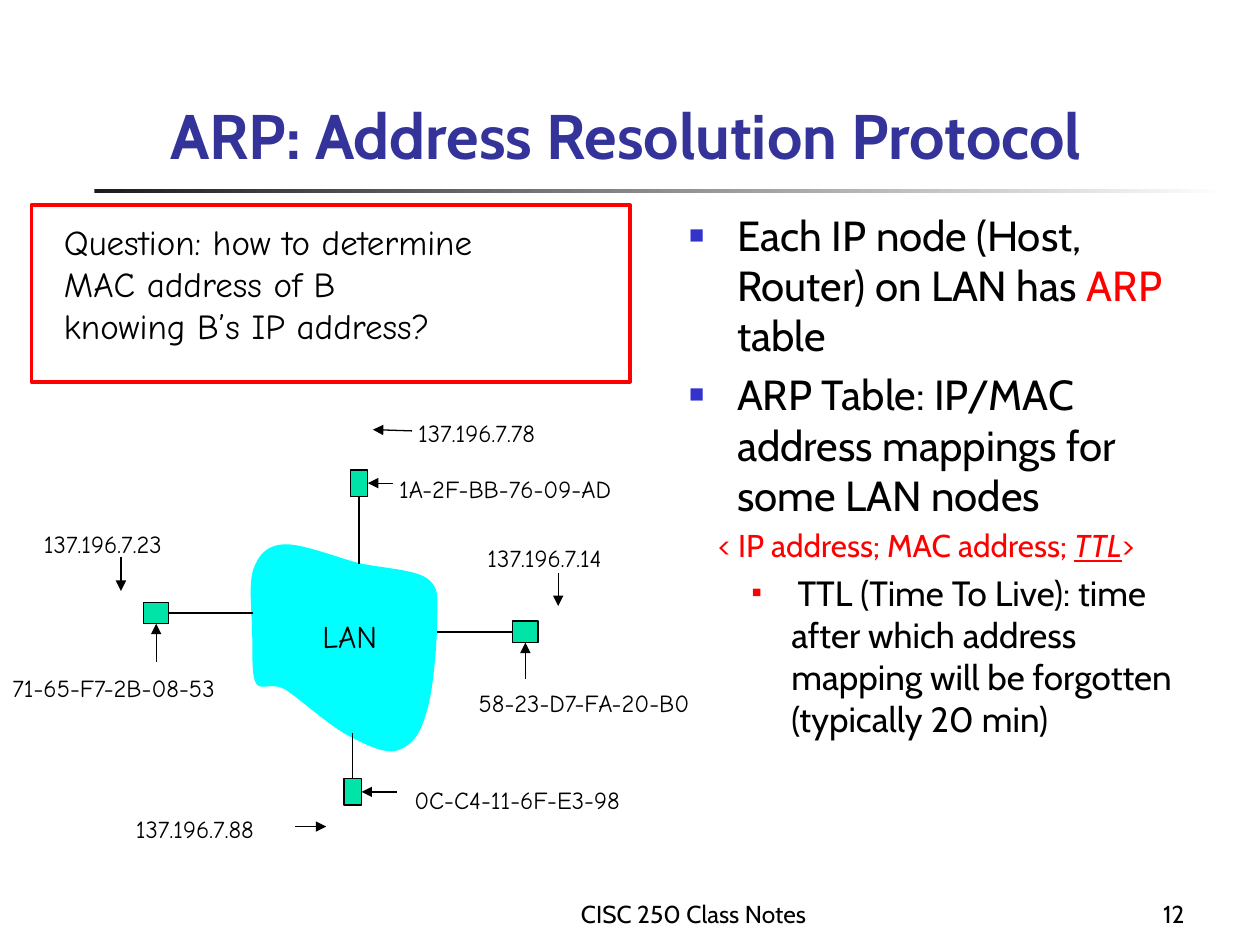
"""Build the slide that explains the Address Resolution Protocol."""
from lxml import etree
from pptx import Presentation
from pptx.dml.color import RGBColor
from pptx.enum.shapes import MSO_CONNECTOR, MSO_SHAPE
from pptx.enum.text import MSO_ANCHOR, MSO_AUTO_SIZE, PP_ALIGN
from pptx.oxml.ns import qn
from pptx.util import Inches, Pt

STRAIGHT = MSO_CONNECTOR.STRAIGHT
RECTANGLE = MSO_SHAPE.RECTANGLE
LEFT, CENTER, RIGHT = PP_ALIGN.LEFT, PP_ALIGN.CENTER, PP_ALIGN.RIGHT
TOP, BOTTOM = MSO_ANCHOR.TOP, MSO_ANCHOR.BOTTOM
NO_AUTOFIT = MSO_AUTO_SIZE.NONE

WIDTH, HEIGHT = Inches(10), Inches(7.5)
CELL = WIDTH / 100
CURVE_STEPS = 10
SANS, HAND = "Cabin", "Comic Neue"
BLACK, RED, INDIGO, BLUE = "000000", "FF0000", "333399", "3333CC"
CYAN, GREEN, CHARCOAL, WHITE = "00FFFF", "00E4A8", "1C1C1C", "FFFFFF"

TITLE = "ARP: Address Resolution Protocol"
TITLE_BOX = (12.5, 4.3, 82.6, 9.9)
RULE_BOX = (7.5, 15, 90, 0.3)
BODY_BOX = (53.7, 16.1, 43.6, 50.8)
QUESTION_FRAME = (2.5, 16.3, 47.5, 14)

# level, left margin, first-line indent, bullet (colour, size %), runs (text, size, colour, emphasis)
BODY = [
    (0, 3.8, -3.8, (BLUE, 60), [
        ("Each IP node (Host, Router) on LAN has ", 24, BLACK, False),
        ("ARP ", 24, RED, False),
        ("table", 24, BLACK, False)]),
    (0, 3.8, -3.8, (BLUE, 60), [
        ("ARP Table: IP/MAC address mappings for some LAN nodes", 24, BLACK, False)]),
    (0, 3.8, -1.5, None, [
        ("< IP address; MAC address; ", 18, RED, False),
        ("TTL", 18, RED, True),
        (">", 18, RED, False)]),
    (1, 8.1, -3.1, (RED, 55), [
        (" ", 16, BLACK, False),
        ("TTL (Time To Live): time after which address mapping will be "
         "forgotten (typically 20 min)", 20, BLACK, False)]),
]

FOOTERS = [
    ("CISC 250 Class Notes", (34.2, 69.2, 41.7, 5), CENTER),
    ("12", (85.8, 69.2, 9.2, 5), RIGHT),
]

LABELS = [
    ("Question: how to determine\nMAC address of B\nknowing B’s IP address?",
     (4.1, 17, 38, 11), 20),
    ("LAN", (24.6, 48.5, 6.8, 4), 18),
    ("1A-2F-BB-76-09-AD", (30.7, 37.1, 20.8, 3.3), 14),
    ("58-23-D7-FA-20-B0", (37, 54.1, 20.8, 3.3), 14),
    ("0C-C4-11-6F-E3-98", (31.9, 61.8, 19.6, 3.3), 14),
    ("71-65-F7-2B-08-53", (0, 52.9, 20, 3.3), 14),
    ("137.196.7.23", (2.5, 41.5, 13.5, 3.3), 14),
    ("137.196.7.78", (32.2, 32.7, 13.5, 3.3), 14),
    ("137.196.7.14", (37.7, 42.6, 13.2, 3.3), 14),
    ("137.196.7.88", (9.8, 64.1, 13.5, 3.3), 14),
]

# box, side and length of the LAN link, side and length of the MAC arrow
HOSTS = [
    ((40.7, 49.3, 2, 1.7), 1, 6, 2, 2.9),
    ((11.4, 47.8, 2, 1.7), 3, 6.7, 2, 3),
    ((27.8, 37.3, 1.4, 2.1), 2, 5.4, 3, 2),
    ((27.3, 61.8, 1.4, 2.1), 0, 3.6, 3, 2.8),
]
SIDES = [(0, -1), (-1, 0), (0, 1), (1, 0)]

IP_ARROWS = [
    ((9.6, 44.2), (9.6, 46.9)),
    ((32.7, 34.2), (29.6, 34.1)),
    ((44.3, 45.5), (44.3, 48.1)),
    ((23.4, 65.6), (25.9, 65.6)),
]

CLOUD_START = (22.5, 43.2)
CLOUD_CURVES = [
    ((21.1, 43.3), (20.5, 44.1), (20.1, 45.2)),
    ((19.7, 46.4), (20, 48.6), (20, 50.1)),
    ((20.1, 51.6), (19.9, 53.4), (20.3, 54.2)),
    ((20.7, 54.9), (21.4, 54.1), (22.6, 54.7)),
    ((23.7, 55.4), (25.8, 57.3), (27.3, 58.2)),
    ((28.8, 59), (30.3, 59.8), (31.4, 59.6)),
    ((32.5, 59.3), (33.3, 58.5), (33.8, 56.7)),
    ((34.4, 55), (34.7, 50.9), (34.7, 49.1)),
    ((34.7, 47.3), (34.9, 46.7), (33.9, 45.9)),
    ((32.9, 45.2), (30.4, 45.1), (28.5, 44.7)),
    ((26.6, 44.2), (23.9, 43.1), (22.5, 43.2)),
]


def color(value):
    return RGBColor.from_string(value)


def cells(values):
    return [round(value * CELL) for value in values]


def format_run(run, font, size, value, bold=False):
    run.font.name, run.font.size, run.font.bold = font, Pt(size), bold
    run.font.color.rgb = color(value)


def place(shape, box):
    shape.left, shape.top, shape.width, shape.height = cells(box)


def add_text(slide, text, box, font, size, alignment=LEFT, anchor=TOP, wrap=False):
    frame = slide.shapes.add_textbox(*cells(box)).text_frame
    frame.text, frame.word_wrap, frame.vertical_anchor = text, wrap, anchor
    for paragraph in frame.paragraphs:
        paragraph.alignment = alignment
        format_run(paragraph.runs[0], font, size, BLACK)


def style(shape, fill=None, line=None, weight=0.75):
    shape.shadow.inherit = False
    if fill:
        shape.fill.solid()
        shape.fill.fore_color.rgb = color(fill)
    else:
        shape.fill.background()
    if line:
        shape.line.color.rgb, shape.line.width = color(line), Pt(weight)
    else:
        shape.line.fill.background()


def add_line(slide, start, end, arrow=False):
    line = slide.shapes.add_connector(STRAIGHT, *cells(start + end))
    line.line.color.rgb, line.line.width = color(BLACK), Pt(0.75)
    properties = line.element.spPr
    if arrow:
        etree.SubElement(properties.find(qn("a:ln")), qn("a:tailEnd"), type="triangle")
    etree.SubElement(properties, qn("a:effectLst"))
    return line


def add_host(slide, box, link_side, link_length, arrow_side, arrow_length):
    host = slide.shapes.add_shape(RECTANGLE, *cells(box))
    style(host, GREEN, BLACK)

    def point(side, distance):
        (left, top, width, height), (across, down) = box, SIDES[side]
        return (left + width / 2 + across * (width / 2 + distance),
                top + height / 2 + down * (height / 2 + distance))

    link = add_line(slide, point(link_side, 0), point(link_side, link_length))
    link.begin_connect(host, link_side)
    arrow = add_line(slide, point(arrow_side, arrow_length), point(arrow_side, 0), True)
    arrow.end_connect(host, arrow_side)


def add_cloud(slide):
    start, points = CLOUD_START, []
    for first, second, end in CLOUD_CURVES:
        for step in range(1, CURVE_STEPS + 1):
            t = step / CURVE_STEPS
            weights = ((1 - t) ** 3, 3 * t * (1 - t) ** 2, 3 * t * t * (1 - t), t ** 3)
            points.append(cells(
                sum(weight * value for weight, value in zip(weights, axis))
                for axis in zip(start, first, second, end)))
        start = end
    builder = slide.shapes.build_freeform(*cells(CLOUD_START))
    builder.add_line_segments(points, close=True)
    style(builder.convert_to_shape(), CYAN)


def set_bullet(paragraph, margin, indent, bullet):
    properties = paragraph._p.get_or_add_pPr()
    for name, value in zip(("marL", "indent"), cells((margin, indent))):
        properties.set(name, str(value))
    if not bullet:
        etree.SubElement(properties, qn("a:buNone"))
        return
    value, percent = bullet
    holder = etree.SubElement(properties, qn("a:buClr"))
    etree.SubElement(holder, qn("a:srgbClr"), val=value)
    etree.SubElement(properties, qn("a:buSzPct"), val=str(percent * 1000))
    etree.SubElement(properties, qn("a:buChar"), char="■")


def fill_body(body):
    place(body, BODY_BOX)
    frame = body.text_frame
    frame.auto_size = NO_AUTOFIT
    for index, (level, margin, indent, bullet, runs) in enumerate(BODY):
        paragraph = frame.add_paragraph() if index else frame.paragraphs[0]
        paragraph.level = level
        set_bullet(paragraph, margin, indent, bullet)
        if index == 0:
            paragraph.space_before = Pt(0)
        for text, size, value, emphasis in runs:
            run = paragraph.add_run()
            run.text = text
            format_run(run, SANS, size, value)
            run.font.italic = run.font.underline = emphasis


def main():
    presentation = Presentation()
    presentation.slide_width, presentation.slide_height = WIDTH, HEIGHT
    slide = presentation.slides.add_slide(presentation.slide_layouts[1])

    title = slide.shapes.title
    place(title, TITLE_BOX)
    title.text_frame.text = TITLE
    title.text_frame.auto_size = NO_AUTOFIT
    title.text_frame.vertical_anchor = BOTTOM
    title.text_frame.paragraphs[0].alignment = LEFT
    format_run(title.text_frame.paragraphs[0].runs[0], SANS, 36, INDIGO, True)
    fill_body(slide.placeholders[1])

    rule = slide.shapes.add_shape(RECTANGLE, *cells(RULE_BOX))
    style(rule)
    rule.fill.gradient()
    rule.fill.gradient_angle = 0
    for stop, value in zip(rule.fill.gradient_stops, (CHARCOAL, WHITE)):
        stop.color.rgb = color(value)

    style(slide.shapes.add_shape(RECTANGLE, *cells(QUESTION_FRAME)), line=RED, weight=2.25)
    add_cloud(slide)
    for host in HOSTS:
        add_host(slide, *host)
    for start, end in IP_ARROWS:
        add_line(slide, start, end, True)
    for text, box, size in LABELS:
        add_text(slide, text, box, HAND, size)
    for text, box, alignment in FOOTERS:
        add_text(slide, text, box, SANS, 14, alignment, BOTTOM, True)

    presentation.save("out.pptx")


if __name__ == "__main__":
    main()
